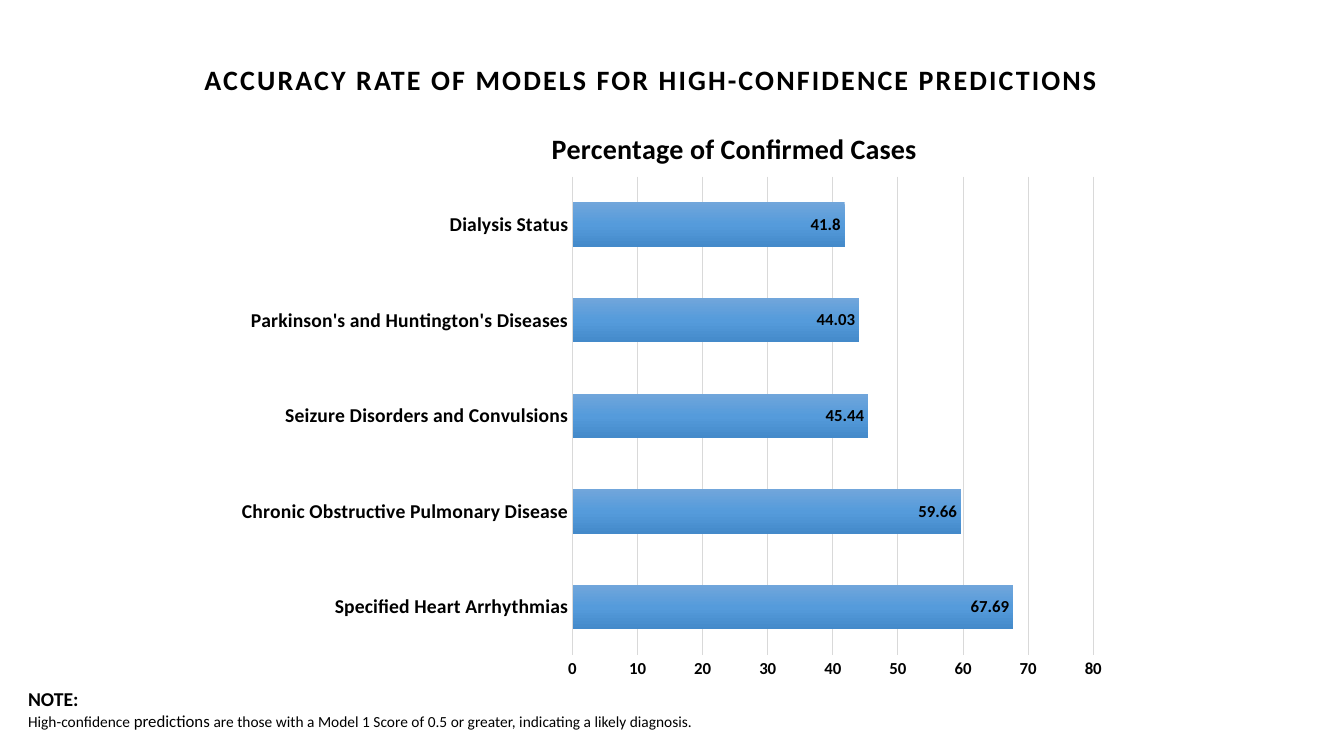
from copy import deepcopy

from pptx import Presentation
from pptx.chart.data import CategoryChartData
from pptx.dml.color import RGBColor
from pptx.enum.chart import XL_CHART_TYPE as ChartType
from pptx.enum.chart import XL_LABEL_POSITION as LabelPosition
from pptx.enum.chart import XL_TICK_MARK as TickMark
from pptx.enum.text import MSO_ANCHOR as Anchor
from pptx.enum.text import PP_ALIGN as Align
from pptx.oxml import parse_xml
from pptx.oxml.ns import nsdecls, qn
from pptx.util import Inches, Pt

COLORS = {
    "text": "000000",
    "grid": "D9D9D9",
    "bar_top": "71A6DB",
    "bar_middle": "559BDB",
    "bar_bottom": "448ACA",
}
CASES = {
    "Specified Heart Arrhythmias": 67.69,
    "Chronic Obstructive Pulmonary Disease": 59.66,
    "Seizure Disorders and Convulsions": 45.44,
    "Parkinson's and Huntington's Diseases": 44.03,
    "Dialysis Status": 41.8,
}


def manual_layout(target=None, **fractions):
    """Layout element with positions as fractions of the chart."""
    inner = f'<c:layoutTarget val="{target}"/>' if target else ""
    modes = "".join(f'<c:{key}Mode val="edge"/>' for key in "xy")
    values = "".join(f'<c:{key} val="{value}"/>' for key, value in fractions.items())
    return parse_xml(
        f"<c:layout {nsdecls('c')}><c:manualLayout>{inner}{modes}{values}"
        "</c:manualLayout></c:layout>"
    )


class SlideBuilder:
    font_name = "Calibri"

    def __init__(self, page):
        self.page = page

    def color(self, name):
        return RGBColor.from_string(COLORS[name])

    def style(self, font, size, bold=False):
        font.name, font.size, font.bold = self.font_name, Pt(size), bold
        font.color.rgb = self.color("text")

    def text_frame(self, left, top, width, height, anchor=Anchor.TOP):
        box = self.page.shapes.add_textbox(*map(Inches, (left, top, width, height)))
        frame = box.text_frame
        frame.word_wrap = True
        frame.vertical_anchor = anchor
        return frame

    def heading(self, text, *place):
        para = self.text_frame(*place, anchor=Anchor.BOTTOM).paragraphs[0]
        para.alignment, para.line_spacing = Align.CENTER, 0.9
        span = para.add_run()
        span.text = text
        self.style(span.font, 20, bold=True)
        span.font._element.set("spc", "150")

    def note(self, label, spans, *place):
        frame = self.text_frame(*place)
        para = frame.paragraphs[0]
        para.text = label
        self.style(para.font, 14, bold=True)
        para = frame.add_paragraph()
        for text, size in spans:
            span = para.add_run()
            span.text = text
            self.style(span.font, size)

    def bar_chart(self, title, values, *place):
        data = CategoryChartData()
        data.categories = list(values)
        data.add_series("Series 1", list(values.values()))
        chart = self.page.shapes.add_chart(
            ChartType.BAR_CLUSTERED, *map(Inches, place), data
        ).chart
        self.style(chart.font, 10)
        chart.has_legend = False
        self.chart_title(chart, title)
        self.axes(chart)
        self.bars(chart.plots[0])
        self.set_layout(chart._chartSpace.chart.plotArea, 0,
                        manual_layout("inner", x=0.389, y=0.139, w=0.581, h=0.8))

    def set_layout(self, parent, index, layout):
        for old in parent.findall(qn("c:layout")):
            parent.remove(old)
        parent.insert(index, layout)

    def chart_title(self, chart, text):
        chart.has_title = True
        para = chart.chart_title.text_frame.paragraphs[0]
        para.text = text
        self.style(para.font, 20, bold=True)
        chart.chart_title.include_in_layout = False
        self.set_layout(chart.chart_title._element, 1, manual_layout(x=0.36, y=0.05))

    def axes(self, chart):
        for axis, size in ((chart.category_axis, 14), (chart.value_axis, 12)):
            axis.major_tick_mark = axis.minor_tick_mark = TickMark.NONE
            self.style(axis.tick_labels.font, size, bold=True)
        category_line = chart.category_axis.format.line
        category_line.color.rgb, category_line.width = self.color("grid"), Pt(1)
        axis = chart.value_axis
        axis.minimum_scale, axis.maximum_scale, axis.major_unit = 0, 80, 10
        axis.format.line.fill.background()
        grid_line = axis.major_gridlines.format.line
        grid_line.color.rgb, grid_line.width = self.color("grid"), Pt(0.75)

    def bars(self, plot):
        plot.vary_by_categories = False
        plot.gap_width, plot.overlap = 115, -20
        series = plot.series[0]
        fill = series.format.fill
        fill.gradient()
        fill.gradient_angle = 270
        # The default gradient has two stops; add the middle one
        stop_list = next(series._element.iter(qn("a:gsLst")))
        stop_list.insert(1, deepcopy(stop_list[0]))
        names = ("bar_top", "bar_middle", "bar_bottom")
        for index, (stop, name) in enumerate(zip(fill.gradient_stops, names)):
            stop.position = index / 2
            stop.color.rgb = self.color(name)
        labels = series.data_labels
        labels.show_value = True
        labels.position = LabelPosition.INSIDE_END
        self.style(labels.font, 12, bold=True)


def main():
    deck = Presentation()
    deck.slide_width, deck.slide_height = Inches(13.33), Inches(7.5)
    builder = SlideBuilder(deck.slides.add_slide(deck.slide_layouts[6]))

    # Heading
    builder.heading("ACCURACY RATE OF MODELS FOR HIGH-CONFIDENCE PREDICTIONS",
                    1.65, 0.19, 9.61, 0.82)

    # Chart
    builder.bar_chart("Percentage of Confirmed Cases", CASES, 2.22, 0.93, 8.89, 5.93)

    # Note
    builder.note("NOTE:", [
        ("High-confidence ", 11),
        ("predictions", 12),
        (" are those with a Model 1 Score of 0.5 or greater, indicating a likely diagnosis.", 11),
    ], 0.18, 6.77, 8, 0.54)

    deck.save("out.pptx")


if __name__ == "__main__":
    main()
